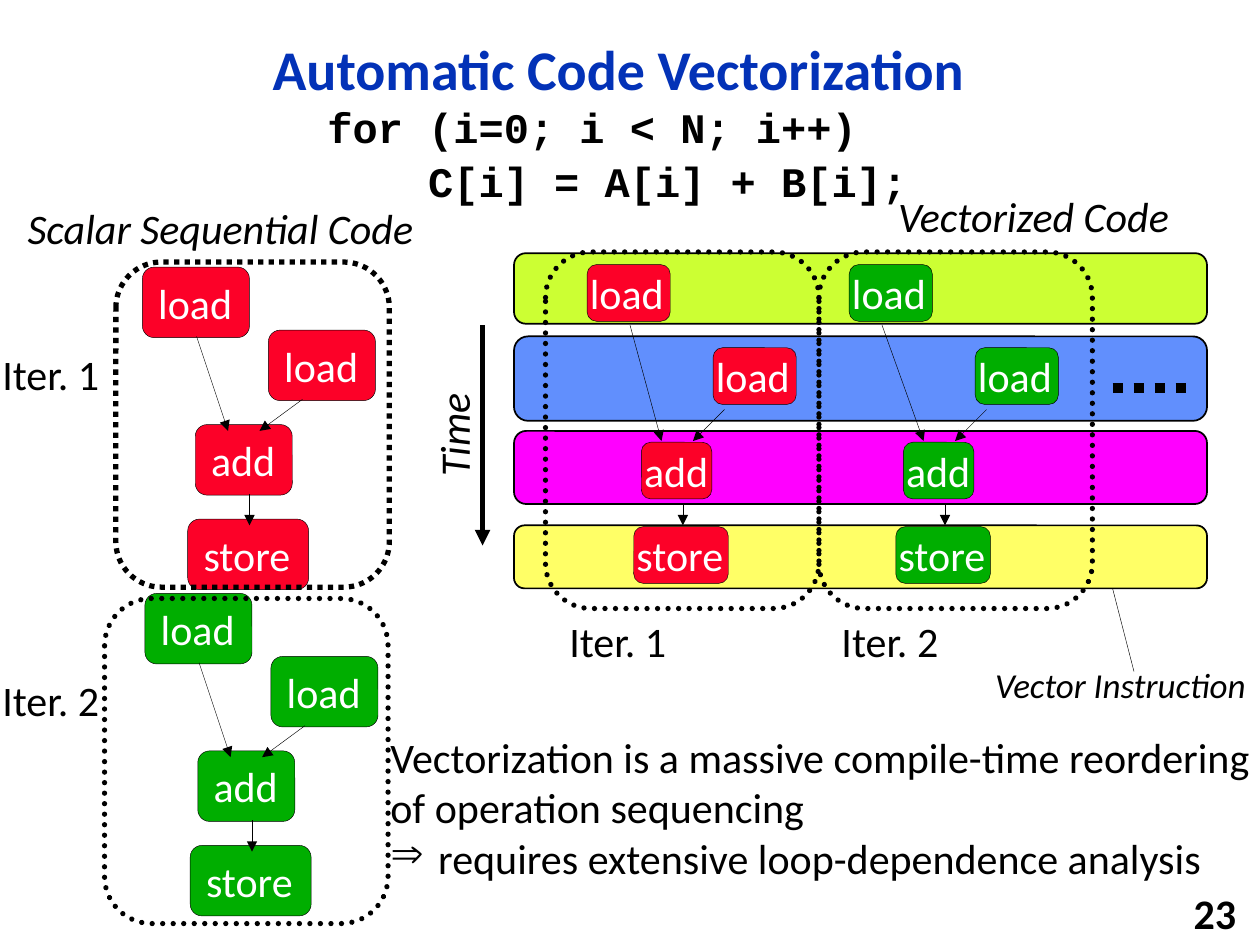
from dataclasses import dataclass

from lxml.etree import SubElement as add_sub
from pptx import Presentation
from pptx.dml.color import RGBColor as Rgb
from pptx.enum.dml import MSO_LINE as Dash
from pptx.enum.shapes import MSO_CONNECTOR as Conn, MSO_SHAPE as Form
from pptx.enum.text import MSO_ANCHOR as Anchor, MSO_AUTO_SIZE as Fit, PP_ALIGN as Align
from pptx.oxml.ns import qn
from pptx.util import Inches, Pt


@dataclass(frozen=True)
class Theme:
    font: str = "Calibri"
    mono: str = "Courier New"
    black: str = "000000"
    white: str = "FFFFFF"
    blue: str = "0332B7"
    red: str = "FC0128"
    green: str = "00AE00"
    head: int = 32
    text: int = 24
    note: int = 20
    hair: float = 0.25
    thin: float = 1
    thick: float = 3
    heavy: float = 6


@dataclass(frozen=True)
class Node:
    text: str
    x: float
    y: float
    w: float


@dataclass(frozen=True)
class Link:
    x1: float
    y1: float
    x2: float
    y2: float


@dataclass(frozen=True)
class Flow:
    nodes: tuple
    links: tuple
    high: float
    pad: tuple


@dataclass(frozen=True)
class Label:
    text: str
    x: float
    y: float
    w: float
    h: float = 0.51
    size: int = 24
    slant: bool = False
    turn: int = 0


T = Theme()
PAD, TIGHT = (0.1, 0.05), (0, 0)

SCALAR = Flow(
    (Node("load", 1.13, 2.12, 0.85), Node("load", 2.13, 2.62, 0.85),
     Node("add", 1.55, 3.37, 0.77), Node("store", 1.49, 4.12, 0.96)),
    (Link(1.56, 2.67, 1.81, 3.42), Link(2.4, 3.17, 2.06, 3.42),
     Link(1.98, 3.92, 1.98, 4.17)), 0.56, PAD)
VECTOR = Flow(
    (Node("load", 4.66, 2.1, 0.66), Node("load", 5.66, 2.76, 0.66),
     Node("add", 5.09, 3.51, 0.56), Node("store", 5.03, 4.18, 0.75)),
    (Link(5, 2.58, 5.25, 3.5), Link(5.75, 3.25, 5.5, 3.5),
     Link(5.42, 4, 5.42, 4.17)), 0.45, TIGHT)

# Vector instructions: top, height, colour
BANDS = ((2.01, 0.56, "CCFF33"), (2.67, 0.67, "618FFD"),
         (3.42, 0.58, "FF00FF"), (4.17, 0.5, "FFFF66"))

LABELS = (
    Label("Iter. 1", -0.08, 2.71, 1.02),
    Label("Iter. 2", -0.08, 5.3, 1.02),
    Label("Scalar Sequential Code", 0.12, 1.55, 3.38, slant=True),
    Label("Iter. 1", 4.42, 4.83, 1.08),
    Label("Iter. 2", 6.58, 4.83, 1.08),
    Label("Vectorized Code", 7.03, 1.46, 2.48, slant=True),
    Label("Vector Instruction", 7.8, 5.21, 2.3, 0.44, T.note, True),
    Label("Time", 3.12, 3.15, 0.95, slant=True, turn=270),
)


def set_all(item, form: dict) -> None:
    for key, value in form.items():
        setattr(item, key, value)


def write(shape, lines: tuple, color: str = T.black, size: int = T.text,
          font: str = T.font, pad: tuple = PAD, wrap: bool = False,
          fit=Fit.SHAPE_TO_FIT_TEXT, para: dict | None = None, **style) -> list:
    """Fill the shape with one paragraph per line; return the paragraphs."""
    frame = shape.text_frame
    side, edge = map(Inches, pad)
    set_all(frame, dict(margin_left=side, margin_right=side, margin_top=edge,
                        margin_bottom=edge, word_wrap=wrap, auto_size=fit,
                        vertical_anchor=Anchor.MIDDLE))
    frame.text = "\n".join(lines)
    for part in frame.paragraphs:
        set_all(part, {"alignment": Align.LEFT, **(para or {})})
        for run in part.runs:
            set_all(run.font, dict(name=font, size=Pt(size), **style))
            run.font.color.rgb = Rgb.from_string(color)
    return list(frame.paragraphs)


def text_box(slide, x: float, y: float, w: float, h: float):
    return slide.shapes.add_textbox(*map(Inches, (x, y, w, h)))


def add_label(slide, label: Label) -> None:
    box = text_box(slide, label.x, label.y, label.w, label.h)
    box.rotation = label.turn
    write(box, (label.text,), size=label.size, italic=label.slant)


def pen(line, width: float, dash: bool = False, cap: str = "flat") -> None:
    line.color.rgb = Rgb.from_string(T.black)
    line.width = Pt(width)
    if dash:
        line.dash_style = Dash.ROUND_DOT
        line._get_or_add_ln().set("cap", cap)


def add_block(slide, x: float, y: float, w: float, h: float, fill: str = "",
              width: float = T.thin, **line):
    shape = slide.shapes.add_shape(Form.ROUNDED_RECTANGLE, *map(Inches, (x, y, w, h)))
    shape.shadow.inherit = False
    if fill:
        shape.fill.solid()
        shape.fill.fore_color.rgb = Rgb.from_string(fill)
    else:
        shape.fill.background()
    pen(shape.line, width, **line)
    return shape


def add_line(slide, ends: Link, width: float = T.hair, head: bool = True,
             dash: bool = False) -> None:
    points = map(Inches, (ends.x1, ends.y1, ends.x2, ends.y2))
    line = slide.shapes.add_connector(Conn.STRAIGHT, *points)
    pen(line.line, width, dash)
    if head:
        add_sub(line.line._get_or_add_ln(), qn("a:tailEnd"), type="triangle")
    add_sub(line._element.spPr, qn("a:effectLst"))


def add_flow(slide, flow: Flow, fill: str, dx: float = 0, dy: float = 0,
             lean: float = 0) -> None:
    """Draw a shifted flow; lean moves the start of its first arrow."""
    for node in flow.nodes:
        box = add_block(slide, node.x + dx, node.y + dy, node.w, flow.high, fill, T.hair)
        write(box, (node.text,), T.white, pad=flow.pad)
    for place, link in enumerate(flow.links):
        start = link.x1 + dx + (0 if place else lean)
        add_line(slide, Link(start, link.y1 + dy, link.x2 + dx, link.y2 + dy))


def main() -> None:
    deck = Presentation()
    deck.slide_width, deck.slide_height = Inches(10), Inches(7.5)
    slide = deck.slides.add_slide(deck.slide_layouts[5])

    # Title, page number and loop
    title = slide.shapes.title
    set_all(title, dict(left=Inches(0.92), top=Inches(0.17),
                        width=Inches(7.98), height=Inches(0.81)))
    write(title, ("Automatic Code Vectorization",), T.blue, T.head, wrap=True,
          fit=Fit.NONE, para=dict(alignment=Align.CENTER, line_spacing=0.9), bold=True)
    write(text_box(slide, 7.83, 7.08, 2.08, 0.32), ("23",), fit=Fit.NONE, wrap=True,
          para=dict(alignment=Align.RIGHT), bold=True)
    code = write(text_box(slide, 2.5, 0.75, 4.8, 0.94),
                 ("for (i=0; i < N; i++)", "C[i] = A[i] + B[i];"),
                 font=T.mono, para=dict(space_before=Pt(2.4)), bold=True)
    code[1]._p.get_or_add_pPr().set("marL", str(Inches(0.8)))

    # Scalar code
    add_flow(slide, SCALAR, T.red)
    add_flow(slide, SCALAR, T.green, 0.02, 2.59)
    add_block(slide, 0.92, 2.08, 2.17, 2.58, width=T.thick, dash=True)
    add_block(slide, 0.83, 4.75, 2.25, 2.58, width=T.thick, dash=True, cap="rnd")

    # Vector code
    for top, high, fill in BANDS:
        add_block(slide, 4.08, top, 5.5, high, fill)
    add_flow(slide, VECTOR, T.red)
    add_flow(slide, VECTOR, T.green, 2.08, lean=-0.08)
    for left in (4.33, 6.5):
        add_block(slide, left, 2, 2.17, 2.83, width=T.thick, dash=True, cap="rnd")

    # Labels, time arrow, pointer and dots
    for label in LABELS:
        add_label(slide, label)
    add_line(slide, Link(3.83, 2.58, 3.83, 4.33), T.thick)
    add_line(slide, Link(8.83, 4.67, 9, 5.33), head=False)
    add_line(slide, Link(8.83, 3.08, 9.42, 3.08), T.heavy, head=False, dash=True)

    # Summary
    notes = write(text_box(slide, 3, 5.75, 7.17, 1.31),
                  ("Vectorization is a massive compile-time reordering of operation sequencing",
                   "requires extensive loop-dependence analysis"), wrap=True)
    props = notes[1]._p.get_or_add_pPr()
    props.set("marL", str(Inches(0.38)))
    props.set("indent", str(-Inches(0.38)))
    add_sub(props, qn("a:buChar"), char="⇒")

    deck.save("out.pptx")


if __name__ == "__main__":
    main()
